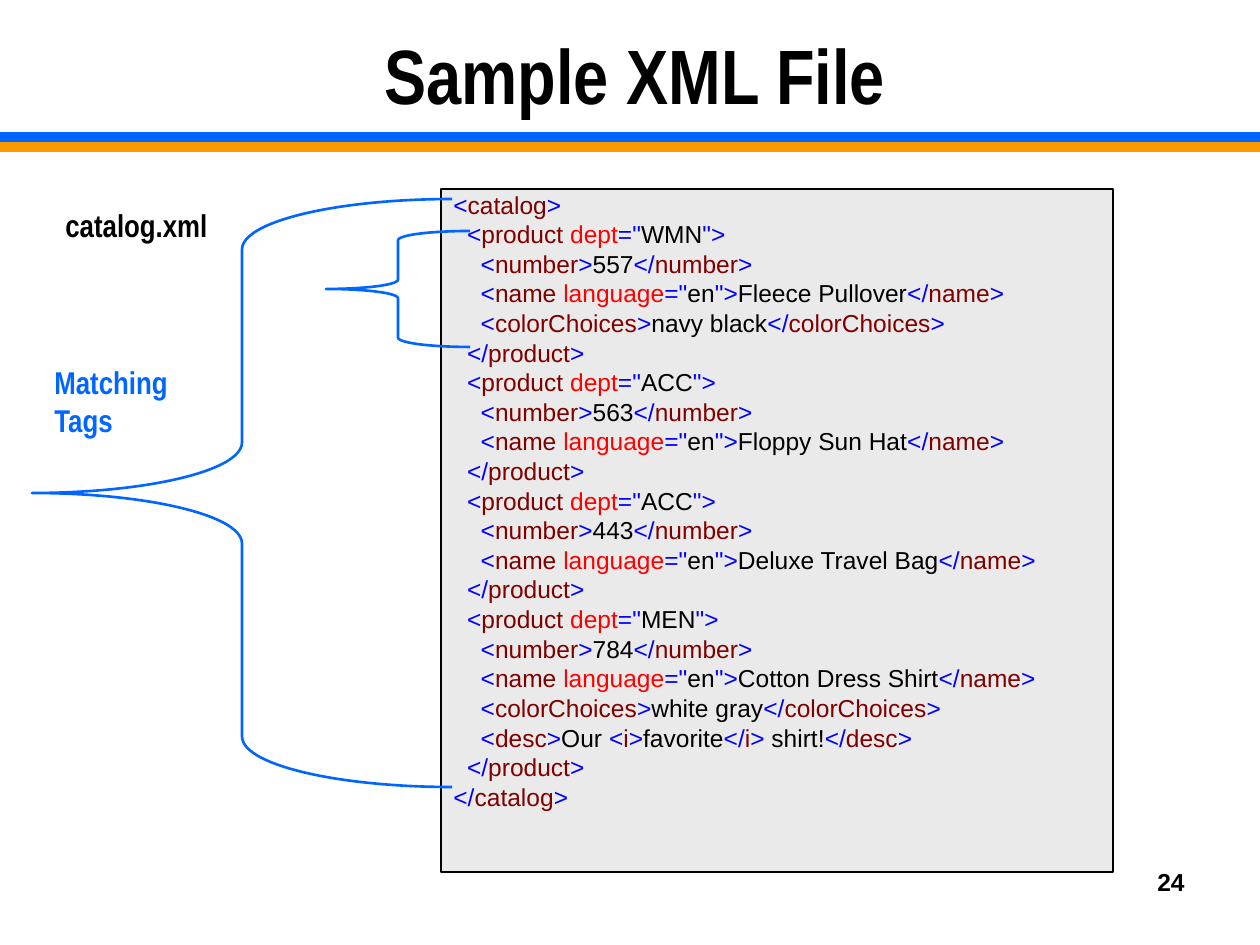
from lxml.etree import SubElement
from pptx import Presentation
from pptx.dml.color import RGBColor
from pptx.enum.shapes import MSO_CONNECTOR, MSO_SHAPE
from pptx.enum.text import MSO_ANCHOR, MSO_AUTO_SIZE, PP_ALIGN
from pptx.oxml.ns import qn
from pptx.util import Emu, Pt

BLACK, BLUE, ORANGE = "000000", "0066FF", "FF9900"
MARK, TAG, ATTR, GRAY = "0000FF", "800000", "FF0000", "EAEAEA"
NARROW = "Arial Narrow"

CODE = """<catalog>
  <product dept="WMN">
    <number>557</number>
    <name language="en">Fleece Pullover</name>
    <colorChoices>navy black</colorChoices>
  </product>
  <product dept="ACC">
    <number>563</number>
    <name language="en">Floppy Sun Hat</name>
  </product>
  <product dept="ACC">
    <number>443</number>
    <name language="en">Deluxe Travel Bag</name>
  </product>
  <product dept="MEN">
    <number>784</number>
    <name language="en">Cotton Dress Shirt</name>
    <colorChoices>white gray</colorChoices>
    <desc>Our <i>favorite</i> shirt!</desc>
  </product>
</catalog>"""


def px(n):
    return Emu(round(n * 914400 / 126))


def rgb(code):
    return RGBColor.from_string(code)


def add_run(para, text, size, color, font="Arial", bold=False):
    run = para.add_run()
    run.text = text
    run.font.name = font
    run.font.size = Pt(size)
    run.font.bold = bold
    run.font.color.rgb = rgb(color)


def add_band(slide, y, color):
    line = slide.shapes.add_connector(
        MSO_CONNECTOR.STRAIGHT, 0, px(y), px(1260), px(y))
    line.line.color.rgb = rgb(color)
    line.line.width = Pt(6)
    SubElement(line._element.spPr, qn("a:effectLst"))


def set_title(slide, text):
    title = slide.shapes.title
    title.left, title.top, title.width, title.height = map(
        px, (63, 21, 1144, 105))
    frame = title.text_frame
    frame.auto_size = MSO_AUTO_SIZE.NONE
    frame.vertical_anchor = MSO_ANCHOR.MIDDLE
    para = frame.paragraphs[0]
    para.alignment = PP_ALIGN.CENTER
    add_run(para, text, 44, BLACK, NARROW, True)


def tokens(line):
    lead, *parts = line.split("<")
    yield lead, BLACK
    for part in parts:
        tag, text = part.split(">", 1)
        yield ("</" if tag.startswith("/") else "<"), MARK
        name, gap, attr = tag.lstrip("/").partition(" ")
        yield name, TAG
        if attr:
            key, value = attr.split("=")
            yield gap + key, ATTR
            yield '="', MARK
            yield value.strip('"'), BLACK
            yield '">', MARK
        else:
            yield ">", MARK
        yield text, BLACK


def add_code(slide, code, *box):
    panel = slide.shapes.add_shape(MSO_SHAPE.RECTANGLE, *map(px, box))
    panel.shadow.inherit = False
    panel.fill.solid()
    panel.fill.fore_color.rgb = rgb(GRAY)
    panel.line.color.rgb = rgb(BLACK)
    panel.line.width = Pt(1)
    frame = panel.text_frame
    frame.word_wrap = True
    frame.vertical_anchor = MSO_ANCHOR.TOP
    for i, line in enumerate(code.splitlines()):
        para = frame.add_paragraph() if i else frame.paragraphs[0]
        para.alignment = PP_ALIGN.LEFT
        para.line_spacing = 0.8
        para.space_before = Pt(3.5 if i else 0)
        for text, color in tokens(line):
            if text:
                add_run(para, text, 14, color)


def add_brace(slide, curve, *box):
    brace = slide.shapes.add_shape(MSO_SHAPE.LEFT_BRACE, *map(px, box))
    brace.shadow.inherit = False
    brace.adjustments[0] = curve
    brace.fill.background()
    brace.line.color.rgb = rgb(BLUE)
    brace.line.width = Pt(1.5)


def add_label(slide, lines, color, *box):
    frame = slide.shapes.add_textbox(*map(px, box)).text_frame
    frame.word_wrap = False
    frame.auto_size = MSO_AUTO_SIZE.SHAPE_TO_FIT_TEXT
    for i, line in enumerate(lines):
        para = frame.add_paragraph() if i else frame.paragraphs[0]
        add_run(para, line, 18, color, NARROW, True)


def add_number(slide, text, *box):
    frame = slide.shapes.add_textbox(*map(px, box)).text_frame
    frame.word_wrap = True
    para = frame.paragraphs[0]
    para.alignment = PP_ALIGN.RIGHT
    add_run(para, text, 14, BLACK, bold=True)


def main():
    deck = Presentation()
    deck.slide_width, deck.slide_height = px(1260), px(945)
    slide = deck.slides.add_slide(deck.slide_layouts[5])
    add_band(slide, 147, ORANGE)
    add_band(slide, 137, BLUE)
    set_title(slide, "Sample XML File")
    add_code(slide, CODE, 441, 189, 672, 683)
    add_brace(slide, 0.12, 32, 199, 420, 588)
    add_brace(slide, 0.08, 326, 231, 144, 116)
    add_label(slide, ["Matching", "Tags"], BLUE, 42, 357, 139, 88)
    add_label(slide, ["catalog.xml"], BLACK, 53, 200, 168, 50)
    add_number(slide, "24", 903, 861, 294, 65)
    deck.save("out.pptx")


if __name__ == "__main__":
    main()
